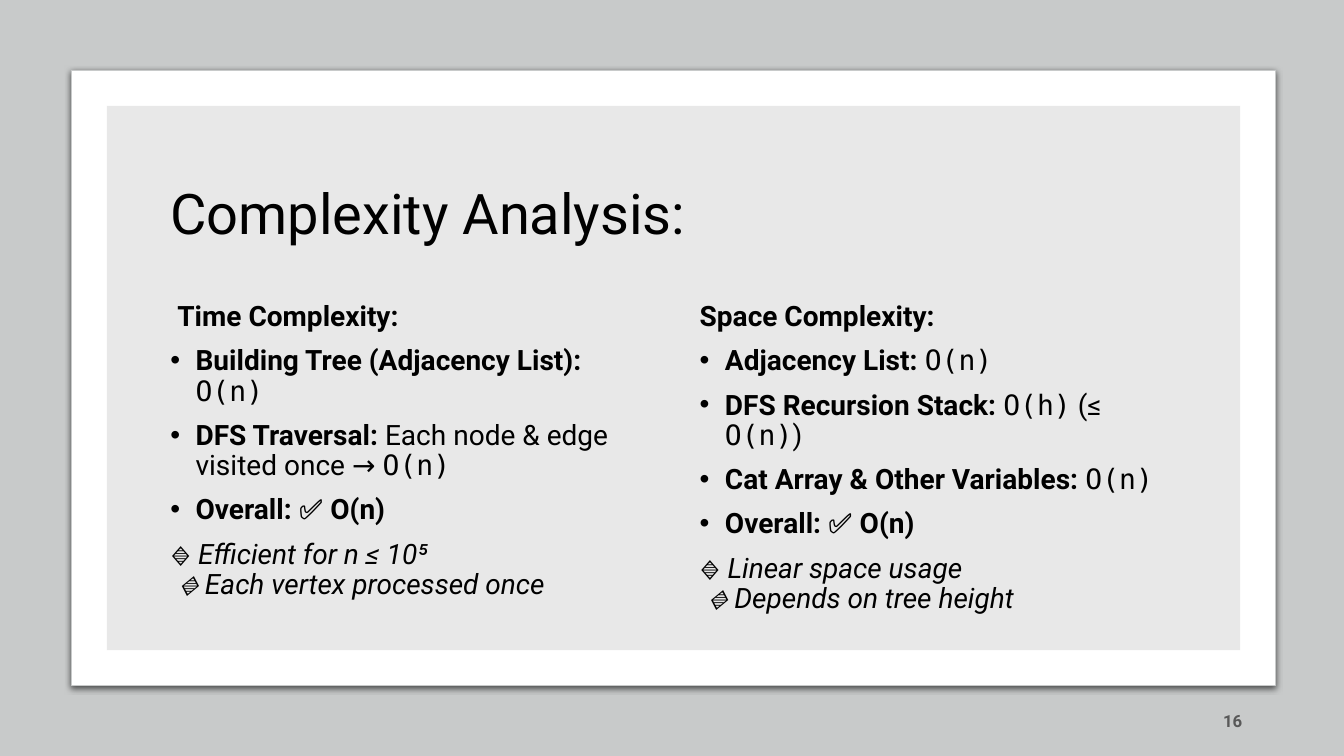
from lxml.etree import SubElement
from pptx import Presentation
from pptx.dml.color import RGBColor
from pptx.enum.shapes import MSO_SHAPE
from pptx.enum.text import MSO_ANCHOR, MSO_AUTO_SIZE, PP_ALIGN
from pptx.oxml.ns import qn
from pptx.util import Inches, Pt

BACKDROP = RGBColor(0xC8, 0xCA, 0xCA)
FRAME = RGBColor(0xFF, 0xFF, 0xFF)
PANEL = RGBColor(0xE8, 0xE8, 0xE8)
INK = RGBColor(0x00, 0x00, 0x00)
MUTED = RGBColor(0x59, 0x59, 0x59)
BODY_FONT = "Roboto"
CODE_FONT = "DejaVu Sans Mono"
WIDTH, HEIGHT = 13.33, 7.5
FRAME_BOX = (0.71, 0.7, 11.94, 6.1)
MARGIN = 0.35
BOLD = {"bold": True}
ITALIC = {"italic": True}
CODE = {"font_name": CODE_FONT}
OVERALL = [("Overall:", BOLD), (" ✅ ", {}), ("O(n)", BOLD)]

TIME = {
    "heading": [(" ", {}), ("Time Complexity:", BOLD)],
    "bullets": [
        [("Building Tree (Adjacency List): ", BOLD), ("O(n)", CODE)],
        [("DFS Traversal:", BOLD), (" Each node & edge visited once → ", {}), ("O(n)", CODE)],
        OVERALL,
    ],
    "remarks": ["Efficient for n ≤ 10⁵", " 🔹 Each vertex processed once"],
}
SPACE = {
    "heading": [("Space Complexity:", BOLD)],
    "bullets": [
        [("Adjacency List: ", BOLD), ("O(n)", CODE)],
        [("DFS Recursion Stack: ", BOLD), ("O(h)", CODE), (" (≤ ", {}), ("O(n)", CODE), (")", {})],
        [("Cat Array & Other Variables: ", BOLD), ("O(n)", CODE)],
        OVERALL,
    ],
    "remarks": ["Linear space usage", " 🔹 Depends on tree height"],
}


def place(shape, box):
    """Move a shape to a box given in inches."""
    shape.left, shape.top, shape.width, shape.height = map(Inches, box)


def add_text(paragraph, text, size=20, font_name=BODY_FONT, color=INK, bold=False, italic=False):
    """Append a formatted run to a paragraph."""
    run = paragraph.add_run()
    run.text = text
    font = run.font
    font.size, font.name, font.bold, font.italic = Pt(size), font_name, bold, italic
    font.color.rgb = color


def format_paragraph(paragraph, bullet=False, space_before=10):
    """Set the indent, bullet and spacing of a body paragraph."""
    properties = paragraph._p.get_or_add_pPr()
    properties.set("marL", str(Inches(0.25) if bullet else 0))
    properties.set("indent", str(Inches(-0.25) if bullet else 0))
    if bullet:
        SubElement(properties, qn("a:buFont")).set("typeface", "Arial")
        SubElement(properties, qn("a:buChar")).set("char", "•")
    else:
        SubElement(properties, qn("a:buNone"))
    paragraph.line_spacing = 0.9
    paragraph.space_before = Pt(space_before)


def add_panel(slide, layer, box, color, preset=MSO_SHAPE.RECTANGLE):
    """Add a plain filled panel behind the text at the given layer."""
    panel = slide.shapes.add_shape(preset, *map(Inches, box))
    panel.shadow.inherit = False
    panel.fill.solid()
    panel.fill.fore_color.rgb = color
    panel.line.fill.background()
    slide.shapes._spTree.insert(2 + layer, panel._element)
    return panel


def add_shadow(shape):
    """Give a shape a soft shadow straight below it."""
    effects = shape._element.spPr.find(qn("a:effectLst"))
    shadow = SubElement(effects, qn("a:outerShdw"), blurRad=str(Pt(4.5)), dist=str(Pt(1.5)),
                        dir="5400000", algn="ctr", rotWithShape="0")
    color = SubElement(shadow, qn("a:srgbClr"), val="000000")
    SubElement(color, qn("a:alpha"), val="63000")


def add_frame(slide, box):
    """Draw the backdrop, the white frame and the grey panel inside it."""
    left, top, width, height = box
    add_panel(slide, 0, (0, 0, WIDTH, HEIGHT), BACKDROP)
    frame = add_panel(slide, 1, box, FRAME, MSO_SHAPE.ROUNDED_RECTANGLE)
    frame.adjustments[0] = 0
    frame.line.color.rgb = BACKDROP
    frame.line.width = Pt(0.75)
    add_shadow(frame)
    inner = (left + MARGIN, top + MARGIN, width - 2 * MARGIN, height - 2 * MARGIN)
    add_panel(slide, 2, inner, PANEL)


def fill_title(title, box, text):
    """Place and fill the title."""
    place(title, box)
    frame = title.text_frame
    frame.auto_size = MSO_AUTO_SIZE.NONE
    frame.vertical_anchor = MSO_ANCHOR.MIDDLE
    paragraph = frame.paragraphs[0]
    paragraph.alignment = PP_ALIGN.LEFT
    paragraph.line_spacing = 0.9
    add_text(paragraph, text, size=40)


def fill_column(body, box, column):
    """Place a body and fill it with a heading, bullets and remarks."""
    place(body, box)
    frame = body.text_frame
    frame.auto_size = MSO_AUTO_SIZE.NONE
    heading = frame.paragraphs[0]
    format_paragraph(heading, space_before=0)
    for text, style in column["heading"]:
        add_text(heading, text, **style)
    for runs in column["bullets"]:
        paragraph = frame.add_paragraph()
        format_paragraph(paragraph, bullet=True)
        for text, style in runs:
            add_text(paragraph, text, **style)
    remark = frame.add_paragraph()
    format_paragraph(remark)
    first, second = column["remarks"]
    add_text(remark, "🔹 ")
    add_text(remark, first, **ITALIC)
    remark.add_line_break()
    add_text(remark, second, **ITALIC)


def add_slide_number(slide, box, number):
    """Write the slide number at the right of its box."""
    frame = slide.shapes.add_textbox(*map(Inches, box)).text_frame
    frame.word_wrap = True
    frame.vertical_anchor = MSO_ANCHOR.MIDDLE
    paragraph = frame.paragraphs[0]
    paragraph.alignment = PP_ALIGN.RIGHT
    paragraph.space_after = Pt(6)
    add_text(paragraph, number, size=12, color=MUTED, bold=True)


def main():
    """Build and save the complexity slide."""
    presentation = Presentation()
    presentation.slide_width, presentation.slide_height = Inches(WIDTH), Inches(HEIGHT)
    slide = presentation.slides.add_slide(presentation.slide_layouts[3])
    add_frame(slide, FRAME_BOX)
    title, left_body, right_body = slide.placeholders
    fill_title(title, (1.59, 1.58, 10.23, 1.14), "Complexity Analysis:")
    fill_column(left_body, (1.59, 2.95, 4.9, 2.95), TIME)
    fill_column(right_body, (6.84, 2.95, 4.98, 2.95), SPACE)
    add_slide_number(slide, (9.42, 6.95, 3, 0.4), "16")
    presentation.save("out.pptx")


if __name__ == "__main__":
    main()
